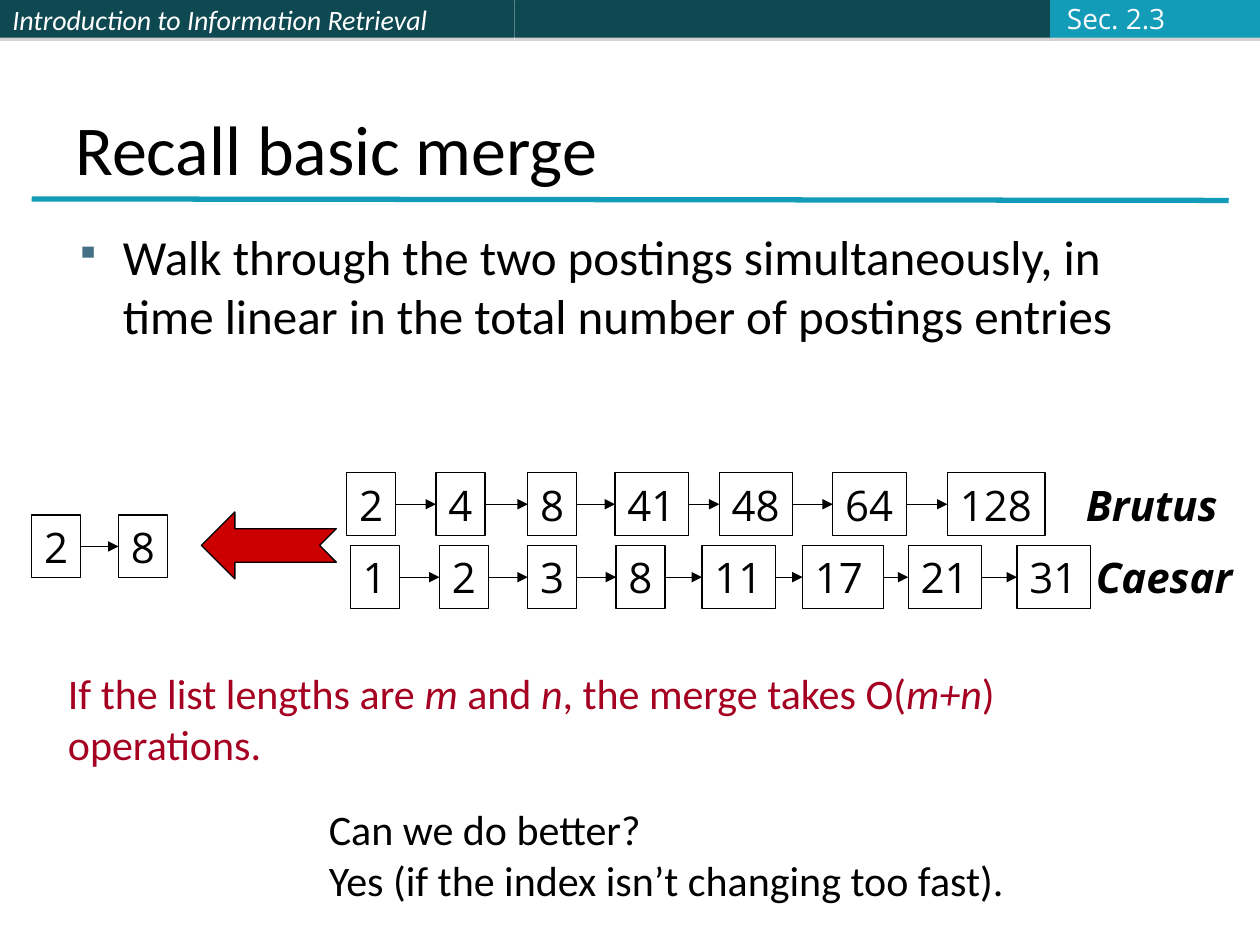
import pptx
import pptx.util
import pptx.dml.color
import pptx.enum.shapes
import pptx.enum.text
import pptx.oxml
import pptx.oxml.ns
from lxml import etree

Cm, Pt = pptx.util.Cm, pptx.util.Pt

COLORS = {"dark": "0E4851", "teal": "139CB7", "black": "000000", "white": "FFFFFF",
          "bullet": "437085", "arrow": "CC0000", "claim": "A50021", "section": "FBFCFF",
          "shadow": "808080"}
RGB = {name: pptx.dml.color.RGBColor.from_string(value) for name, value in COLORS.items()}
SHAPE = pptx.enum.shapes.MSO_SHAPE
ANCHOR = pptx.enum.text.MSO_ANCHOR
STRAIGHT = pptx.enum.shapes.MSO_CONNECTOR.STRAIGHT
NS = pptx.oxml.ns.nsdecls("a")

deck = pptx.Presentation()
deck.slide_width, deck.slide_height = Cm(25.4), Cm(19.05)
slide = deck.slides.add_slide(deck.slide_layouts[6])
shapes = slide.shapes


def write(shape, paragraphs, size, font, color, anchor=ANCHOR.TOP, wrap=False,
          bold=False, italic=False):
    """Fill a shape with paragraphs; *starred* parts of a paragraph become italic."""
    frame = shape.text_frame
    frame.word_wrap, frame.vertical_anchor = wrap, anchor
    for index, text in enumerate(paragraphs):
        paragraph = frame.paragraphs[0] if index == 0 else frame.add_paragraph()
        paragraph.alignment = pptx.enum.text.PP_ALIGN.LEFT
        for part, words in enumerate(text.split("*")):
            run = paragraph.add_run()
            run.text = words
            run.font.size, run.font.name = Pt(size), font
            run.font.color.rgb = RGB[color]
            run.font.bold, run.font.italic = bold, italic or part % 2 == 1


def style_line(connector, color, width):
    connector.line.color.rgb, connector.line.width = RGB[color], Pt(width)
    connector._element.spPr.append(pptx.oxml.parse_xml(f"<a:effectLst {NS}/>"))


# Header bar
bars = []
for left, width, color in [(0, 10.36, "dark"), (10.37, 10.8, "dark"), (21.17, 4.23, "teal")]:
    bar = shapes.add_shape(SHAPE.RECTANGLE, Cm(left), 0, Cm(width), Cm(0.76))
    bar.fill.solid()
    bar.fill.fore_color.rgb = RGB[color]
    bar.line.fill.background()
    bar._element.spPr.append(pptx.oxml.parse_xml(
        f'<a:effectLst {NS}><a:outerShdw dist="{Pt(1.8)}" dir="5400000">'
        f'<a:srgbClr val="{COLORS["shadow"]}"><a:alpha val="35000"/></a:srgbClr>'
        '</a:outerShdw></a:effectLst>'))
    bars.append(bar)
write(bars[0], ["Introduction to Information Retrieval"], 16, "Calibri", "white",
      ANCHOR.MIDDLE, wrap=True, italic=True)

title_rule = shapes.add_connector(STRAIGHT, Cm(0.64), Cm(4.01), Cm(24.77), Cm(4.04))
style_line(title_rule, "teal", 3)

# Title and bullet
title = shapes.add_textbox(Cm(1.27), Cm(0.76), Cm(22.86), Cm(3.18))
write(title, ["Recall basic merge"], 40, "Calibri", "black", ANCHOR.BOTTOM, wrap=True)

body = shapes.add_textbox(Cm(1.27), Cm(4.45), Cm(22.86), Cm(13.77))
write(body, ["Walk through the two postings simultaneously, in time linear in the "
             "total number of postings entries"], 28, "Calibri", "black", wrap=True)
bullet = body.text_frame.paragraphs[0]
bullet.space_before = Pt(7)
bullet_format = bullet._p.get_or_add_pPr()
bullet_format.set("marL", str(Cm(0.96)))
bullet_format.set("indent", str(-Cm(0.96)))
for xml in (f'<a:buClr {NS}><a:srgbClr val="{COLORS["bullet"]}"/></a:buClr>',
            f'<a:buSzPct {NS} val="70000"/>',
            f'<a:buChar {NS} char="▪"/>'):
    bullet_format.append(pptx.oxml.parse_xml(xml))

# Postings lists: top edge, then each document number with its left edge
postings_lists = [
    (9.53, [("2", 6.99), ("4", 8.79), ("8", 10.64), ("41", 12.4), ("48", 14.5),
            ("64", 16.79), ("128", 19.1)]),
    (11, [("1", 7.06), ("2", 8.86), ("3", 10.64), ("8", 12.42), ("11", 14.15),
          ("17", 16.18), ("21", 18.31), ("31", 20.5)]),
    (10.38, [("2", 0.64), ("8", 2.39)]),
]
for top, postings in postings_lists:
    previous = None
    for number, left in postings:
        wide = number == "17"
        width = 1.63 if wide else 0.5 + 0.49 * len(number)
        posting = shapes.add_shape(SHAPE.RECTANGLE, Cm(left), Cm(top), Cm(width), Cm(1.27))
        posting.shadow.inherit = False
        posting.fill.background()
        posting.line.color.rgb, posting.line.width = RGB["black"], Pt(0.75)
        write(posting, [number], 24, "Open Sans", "black", ANCHOR.MIDDLE, wrap=wide)
        if previous is not None:
            link = shapes.add_connector(STRAIGHT, 0, 0, 0, 0)
            link.begin_connect(previous, 3)
            link.end_connect(posting, 1)
            style_line(link, "black", 0.75)
            etree.SubElement(link.line._get_or_add_ln(),
                             pptx.oxml.ns.qn("a:tailEnd"), type="triangle")
        previous = posting

for term, left, top in [("Brutus", 21.64, 9.53), ("Caesar", 21.84, 11)]:
    label = shapes.add_textbox(Cm(left), Cm(top), Cm(3.5), Cm(1.27))
    write(label, [term], 24, "Open Sans", "black", ANCHOR.MIDDLE, wrap=True,
          bold=True, italic=True)

merge_arrow = shapes.add_shape(SHAPE.NOTCHED_RIGHT_ARROW, Cm(4.06), Cm(10.32), Cm(2.72), Cm(1.35))
merge_arrow.rotation = 180
merge_arrow.shadow.inherit = False
merge_arrow.fill.solid()
merge_arrow.fill.fore_color.rgb = RGB["arrow"]
merge_arrow.line.color.rgb, merge_arrow.line.width = RGB["black"], Pt(0.75)

# Closing remarks
cost = shapes.add_textbox(Cm(1.12), Cm(13.34), Cm(19.28), Cm(2.29))
write(cost, ["If the list lengths are *m* and *n*, the merge takes O(*m+n*)", "operations."],
      24, "Calibri", "claim", wrap=True)

question = shapes.add_textbox(Cm(6.38), Cm(16.08), Cm(14.22), Cm(2.29))
write(question, ["Can we do better?", "Yes (if the index isn’t changing too fast)."],
      24, "Calibri", "black", wrap=True)

section = shapes.add_textbox(Cm(21.26), Cm(-0.1), Cm(2.49), Cm(0.94))
write(section, ["Sec. 2.3"], 16, "Open Sans", "section", ANCHOR.MIDDLE)

deck.save("out.pptx")
